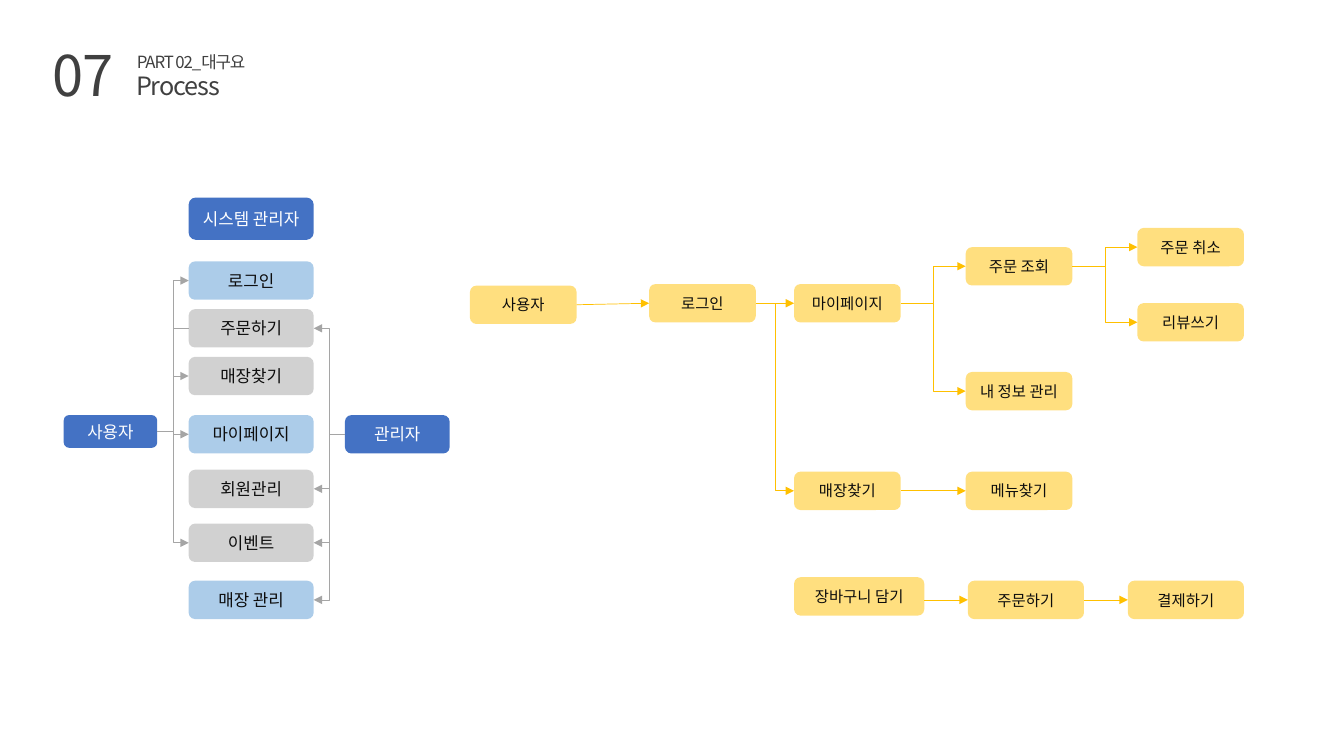
from dataclasses import dataclass

from pptx import Presentation
from pptx.dml.color import RGBColor as Color
from pptx.enum.shapes import MSO_CONNECTOR as Connector, MSO_SHAPE as ShapeKind
from pptx.enum.text import MSO_ANCHOR as Anchor, MSO_AUTO_SIZE as AutoSize, PP_ALIGN as Align
from pptx.oxml.ns import qn
from pptx.util import Pt

LEFT, RIGHT = 1, 3


@dataclass(frozen=True)
class Theme:
    font: str = "Noto Sans CJK KR"
    heading: str = "404040"
    ink: str = "0D0D0D"
    white: str = "FFFFFF"
    actor: str = "4472C4"
    shared: str = "5B9BD5"
    single: str = "A5A5A5"
    flow: str = "FFC000"
    tint: int = 50
    number_size: int = 40
    title_size: int = 18
    part_size: int = 12
    role_size: int = 12
    flow_size: int = 11
    line_width: float = 0.5
    tracking: float = -0.8


def set_all(target, values):
    for name, value in values.items():
        setattr(target, name, value)


class ProcessSlide:
    def __init__(self, presentation, theme):
        self.theme = theme
        self.slide = presentation.slides.add_slide(presentation.slide_layouts[5])

    def add_text(self, shape, text, size, color, align, tracking=0):
        paragraph = shape.text_frame.paragraphs[0]
        set_all(paragraph, {"alignment": align, "line_spacing": 1.0})
        run = paragraph.add_run()
        run.text = text
        set_all(run.font, {"size": Pt(size), "name": self.theme.font, "bold": False})
        run.font.color.rgb = Color.from_string(color)
        properties = run._r.get_or_add_rPr()
        properties.append(properties.makeelement(qn("a:ea"), {"typeface": self.theme.font}))
        if tracking:
            properties.set("spc", str(round(tracking * 100)))

    def heading(self, shape, text, size, box, wrap=False):
        set_all(shape, dict(zip(("left", "top", "width", "height"), map(Pt, box))))
        set_all(shape.text_frame, {"word_wrap": wrap, "auto_size": AutoSize.SHAPE_TO_FIT_TEXT,
                                   "vertical_anchor": Anchor.TOP})
        self.add_text(shape, text, size, self.theme.heading, Align.LEFT, self.theme.tracking)

    def title(self, text, box):
        self.heading(self.slide.shapes.title, text, self.theme.title_size, box)

    def label(self, text, size, box, wrap=False):
        shape = self.slide.shapes.add_textbox(*map(Pt, box))
        self.heading(shape, text, size, box, wrap)

    def box(self, text, left, top, width, height, fill, size):
        """Draw a rounded box; every fill but the actor colour is half transparent."""
        shape = self.slide.shapes.add_shape(
            ShapeKind.ROUNDED_RECTANGLE, *map(Pt, (left, top, width, height)))
        shape.shadow.inherit = False
        shape.line.fill.background()
        shape.fill.solid()
        shape.fill.fore_color.rgb = Color.from_string(fill)
        solid = fill == self.theme.actor
        if not solid:
            color = shape._element.spPr.find(qn("a:solidFill"))[0]
            color.append(color.makeelement(qn("a:alpha"), {"val": str(self.theme.tint * 1000)}))
        set_all(shape.text_frame, {"word_wrap": True, "vertical_anchor": Anchor.MIDDLE})
        ink = self.theme.white if solid else self.theme.ink
        self.add_text(shape, text, size, ink, Align.CENTER)
        return shape

    def link(self, start, end, color, kind=Connector.ELBOW, sides=(RIGHT, LEFT),
             arrow=True, level=False):
        """Join two boxes; a level link starts at the height of the end box's middle."""
        connector = self.slide.shapes.add_connector(kind, 0, 0, 0, 0)
        connector.end_connect(end, sides[1])
        if level:
            set_all(connector, {"begin_x": start.left + start.width,
                                "begin_y": end.top + end.height // 2})
        else:
            connector.begin_connect(start, sides[0])
        connector.line.width = Pt(self.theme.line_width)
        connector.line.color.rgb = Color.from_string(color)
        properties = connector._element.spPr
        if arrow:
            line = properties.find(qn("a:ln"))
            line.append(line.makeelement(qn("a:tailEnd"), {"type": "triangle"}))
        properties.append(properties.makeelement(qn("a:effectLst"), {}))


def draw_roles(page):
    theme = page.theme
    size, height = theme.role_size, 27.4
    left, width = 134.8, 89.3
    page.box("시스템 관리자", left, 141.1, width, 30.2, theme.actor, size)
    functions = {
        text: page.box(text, left, top, width, height, fill, size)
        for text, top, fill in (
            ("로그인", 186.7, theme.shared),
            ("주문하기", 220.8, theme.single),
            ("매장찾기", 254.9, theme.single),
            ("마이페이지", 296.5, theme.shared),
            ("회원관리", 335.5, theme.single),
            ("이벤트", 374, theme.single),
            ("매장 관리", 414.8, theme.shared),
        )
    }
    user = page.box("사용자", 45.5, 296.5, 66.8, 23.4, theme.actor, size)
    manager = page.box("관리자", 246.4, 296.5, 74.8, height, theme.actor, size)
    for text in ("로그인", "주문하기", "매장찾기", "마이페이지", "이벤트"):
        page.link(user, functions[text], theme.single, arrow=text != "주문하기")
    for text in ("주문하기", "회원관리", "이벤트", "매장 관리"):
        page.link(manager, functions[text], theme.single, sides=(LEFT, RIGHT))


def draw_flow(page):
    theme = page.theme
    height, width, wide = 27.4, 76.2, 83
    menu, detail, action = 567.2, 689.8, 812.4
    steps = {
        name: page.box(text, left, top, box_width, height, theme.flow, theme.flow_size)
        for name, text, left, top, box_width in (
            ("user", "사용자", 335.7, 204, width),
            ("login", "로그인", 463.7, 202.9, width),
            ("my page", "마이페이지", menu, 202.9, width),
            ("find store", "매장찾기", menu, 336.9, width),
            ("my details", "내 정보 관리", detail, 265.7, width),
            ("orders", "주문 조회", detail, 176.5, width),
            ("find menu", "메뉴찾기", detail, 336.9, width),
            ("cancel", "주문 취소", action, 162.8, width),
            ("review", "리뷰쓰기", action, 216.5, width),
            ("basket", "장바구니 담기", menu, 412.3, 93),
            ("order", "주문하기", 691.3, 414.8, wide),
            ("pay", "결제하기", 805.6, 414.8, wide),
        )
    }
    for start, end in (("user", "login"), ("login", "my page"),
                       ("find store", "find menu"), ("order", "pay")):
        page.link(steps[start], steps[end], theme.flow, Connector.STRAIGHT)
    for start, end in (("login", "find store"), ("my page", "orders"), ("my page", "my details"),
                       ("orders", "cancel"), ("orders", "review")):
        page.link(steps[start], steps[end], theme.flow)
    page.link(steps["basket"], steps["order"], theme.flow, Connector.STRAIGHT, level=True)


def main():
    presentation = Presentation()
    set_all(presentation, {"slide_width": Pt(960), "slide_height": Pt(540)})
    theme = Theme()
    page = ProcessSlide(presentation, theme)
    page.title("Process", (90, 46.8, 76.3, 28.8))
    page.label("PART 02_대구요", theme.part_size, (90.7, 33.1, 152, 20.9), wrap=True)
    page.label("07", theme.number_size, (30.2, 25.2, 66.2, 55.4))
    draw_roles(page)
    draw_flow(page)
    presentation.save("out.pptx")


if __name__ == "__main__":
    main()
